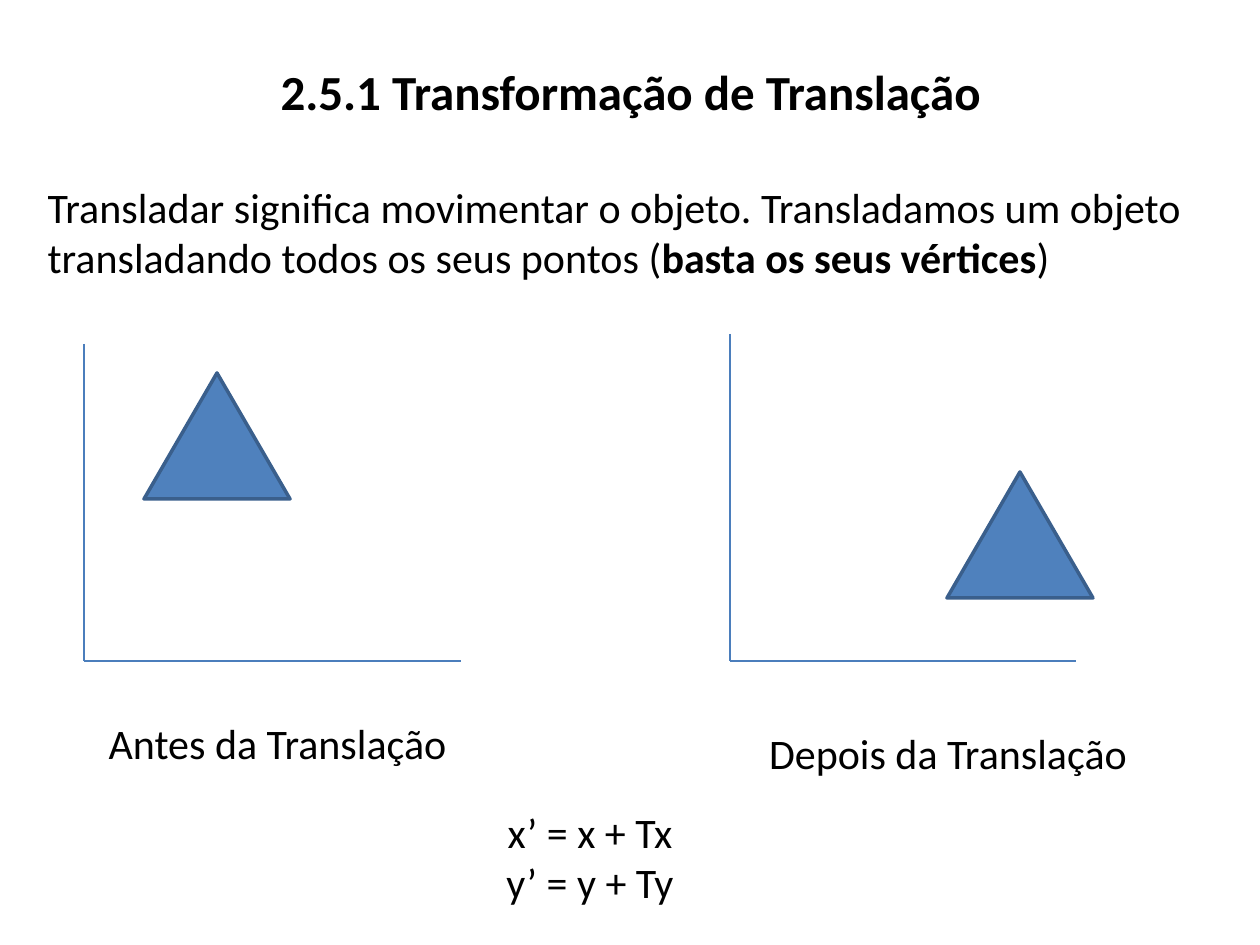
from dataclasses import dataclass

from lxml.etree import SubElement
from pptx import Presentation
from pptx.dml.color import RGBColor
from pptx.enum.shapes import MSO_CONNECTOR, MSO_SHAPE
from pptx.enum.text import MSO_ANCHOR, MSO_AUTO_SIZE, PP_ALIGN
from pptx.oxml.ns import qn
from pptx.util import Pt

PX = 914400 / 126


@dataclass(frozen=True)
class Theme:
    font: str = "Calibri"
    title_size: int = 28
    text_size: int = 24
    text: RGBColor = RGBColor(0, 0, 0)
    axis: RGBColor = RGBColor(0x4B, 0x7E, 0xBC)
    fill: RGBColor = RGBColor(0x4F, 0x81, 0xBD)
    outline: RGBColor = RGBColor(0x3A, 0x5F, 0x8C)
    axis_width: float = 0.75
    outline_width: float = 2


THEME = Theme()

# Each paragraph is a list of (text, bold) runs; each box is left, top, width, height.
TITLE = [[("2.5.1 Transformação de Translação", True)]]
TITLE_BOX = (35, 55, 1191, 72)
BODY = [[
    ("Transladar significa movimentar o objeto. Transladamos um objeto "
     "transladando todos os seus pontos (", False),
    ("basta os seus vértices", True),
    (")", False),
]]
BODY_BOX = (35, 175, 1191, 114)
EQUATIONS = [[("x’ = x + Tx", False)], [("y’ = y + Ty", False)]]
EQUATIONS_BOX = (302, 800, 576, 114)

AXIS_BASE = 661
TRIANGLE_SIZE = (146, 126)
PLOTS = [
    {"origin": 84, "top": 344, "right": 461, "triangle": (144, 373),
     "caption": "Antes da Translação", "caption_box": (84, 711, 387, 63)},
    {"origin": 730, "top": 334, "right": 1076, "triangle": (947, 472),
     "caption": "Depois da Translação", "caption_box": (730, 721, 436, 63)},
]


def emu(*lengths):
    return [round(length * PX) for length in lengths]


def fill_text(shape, paragraphs, size=THEME.text_size, align=PP_ALIGN.CENTER):
    frame = shape.text_frame
    frame.word_wrap = True
    frame.auto_size = MSO_AUTO_SIZE.NONE
    frame.vertical_anchor = MSO_ANCHOR.TOP
    for index, runs in enumerate(paragraphs):
        paragraph = frame.add_paragraph() if index else frame.paragraphs[0]
        paragraph.alignment = align
        paragraph.space_before = Pt(0)
        for text, bold in runs:
            run = paragraph.add_run()
            run.text = text
            run.font.name = THEME.font
            run.font.size = Pt(size)
            run.font.bold = bold
            run.font.color.rgb = THEME.text


def place(shape, box):
    shape.left, shape.top, shape.width, shape.height = emu(*box)


def remove_bullets(shape):
    for paragraph in shape.text_frame.paragraphs:
        properties = paragraph._p.get_or_add_pPr()
        properties.set("marL", "0")
        properties.set("indent", "0")
        SubElement(properties, qn("a:buNone"))


def add_text(slide, box, paragraphs):
    fill_text(slide.shapes.add_textbox(*emu(*box)), paragraphs)


def add_axis(slide, start, end):
    axis = slide.shapes.add_connector(MSO_CONNECTOR.STRAIGHT, *emu(*start, *end))
    axis.line.color.rgb = THEME.axis
    axis.line.width = Pt(THEME.axis_width)
    SubElement(axis._element.spPr, qn("a:effectLst"))


def add_triangle(slide, position):
    triangle = slide.shapes.add_shape(
        MSO_SHAPE.ISOSCELES_TRIANGLE, *emu(*position, *TRIANGLE_SIZE))
    triangle.shadow.inherit = False
    triangle.fill.solid()
    triangle.fill.fore_color.rgb = THEME.fill
    triangle.line.color.rgb = THEME.outline
    triangle.line.width = Pt(THEME.outline_width)


def main():
    presentation = Presentation()
    presentation.slide_width, presentation.slide_height = emu(1260, 945)
    slide = presentation.slides.add_slide(presentation.slide_layouts[1])

    title, body = slide.placeholders
    place(title, TITLE_BOX)
    fill_text(title, TITLE, THEME.title_size)
    place(body, BODY_BOX)
    fill_text(body, BODY, align=PP_ALIGN.LEFT)
    remove_bullets(body)

    for plot in PLOTS:
        origin = (plot["origin"], AXIS_BASE)
        add_axis(slide, (plot["origin"], plot["top"]), origin)
        add_axis(slide, origin, (plot["right"], AXIS_BASE))
        add_triangle(slide, plot["triangle"])
        add_text(slide, plot["caption_box"], [[(plot["caption"], False)]])
    add_text(slide, EQUATIONS_BOX, EQUATIONS)

    presentation.save("out.pptx")


if __name__ == "__main__":
    main()
